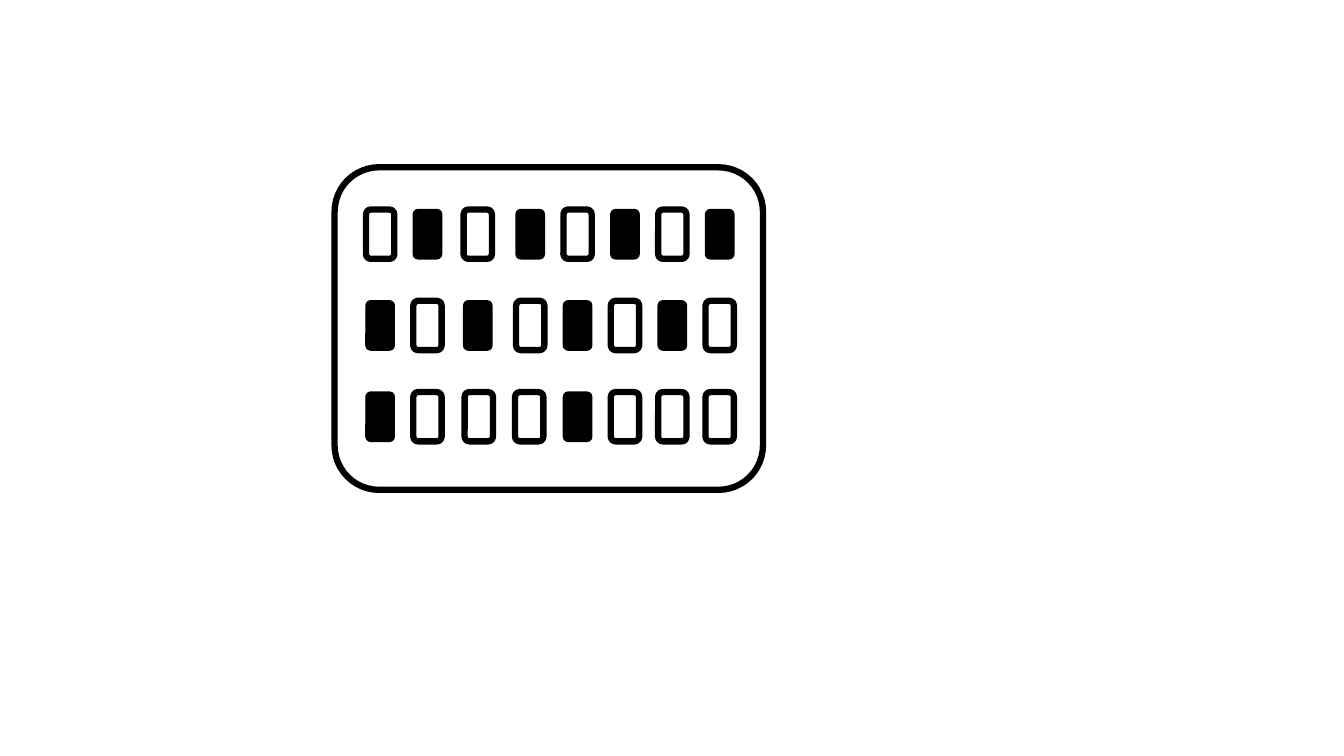
from pptx import Presentation
from pptx.dml.color import RGBColor
from pptx.enum.shapes import MSO_SHAPE
from pptx.util import Pt

ROUND = MSO_SHAPE.ROUNDED_RECTANGLE
BLACK = RGBColor(0, 0, 0)

# Content: 1 is a filled cell, 0 an open one
ROWS = ["01010101", "10101010", "10001000"]

# Layout in points
FRAME = (239, 119.5, 306, 230.4)
FRAME_ADJ = 0.138
CELL_W, CELL_H = 20.2, 35.2
LEFT, TOP = 261.4, 149.7
STEP_X, STEP_Y = 33.84, 65.2
GAPS = {2: 2.1, 3: 3.6}  # extra space before these columns
NUDGE = {(2, 2): 0.7, (2, 3): -0.7}  # small shifts by row and column
THICK, THIN = 4.5, 1


def add_box(slide, box, full=False):
    shape = slide.shapes.add_shape(ROUND, *(Pt(v) for v in box))
    shape.shadow.inherit = False
    if full:
        shape.fill.solid()
        shape.fill.fore_color.rgb = BLACK
    else:
        shape.fill.background()
    shape.line.color.rgb = BLACK
    shape.line.width = Pt(THIN if full else THICK)
    return shape


def main():
    deck = Presentation()
    deck.slide_width, deck.slide_height = Pt(960), Pt(540)
    slide = deck.slides.add_slide(deck.slide_layouts[6])

    # Frame
    add_box(slide, FRAME).adjustments[0] = FRAME_ADJ

    # Cells
    for r, row in enumerate(ROWS):
        y = TOP + r * STEP_Y
        for c, mark in enumerate(row):
            extra = sum(gap for col, gap in GAPS.items() if col <= c)
            x = LEFT + c * STEP_X + extra + NUDGE.get((r, c), 0)
            add_box(slide, (x, y, CELL_W, CELL_H), mark == "1")

    deck.save("out.pptx")


if __name__ == "__main__":
    main()
